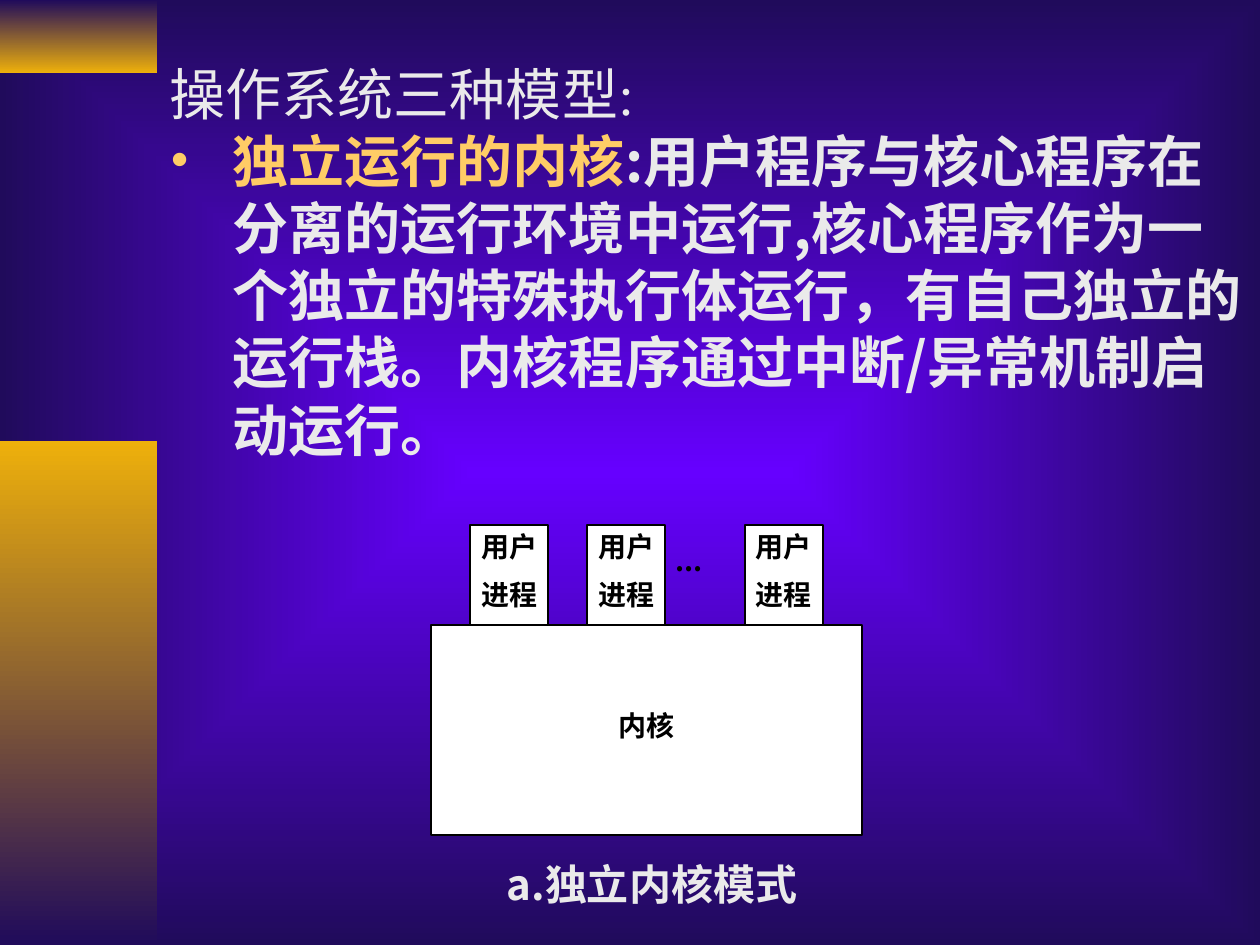
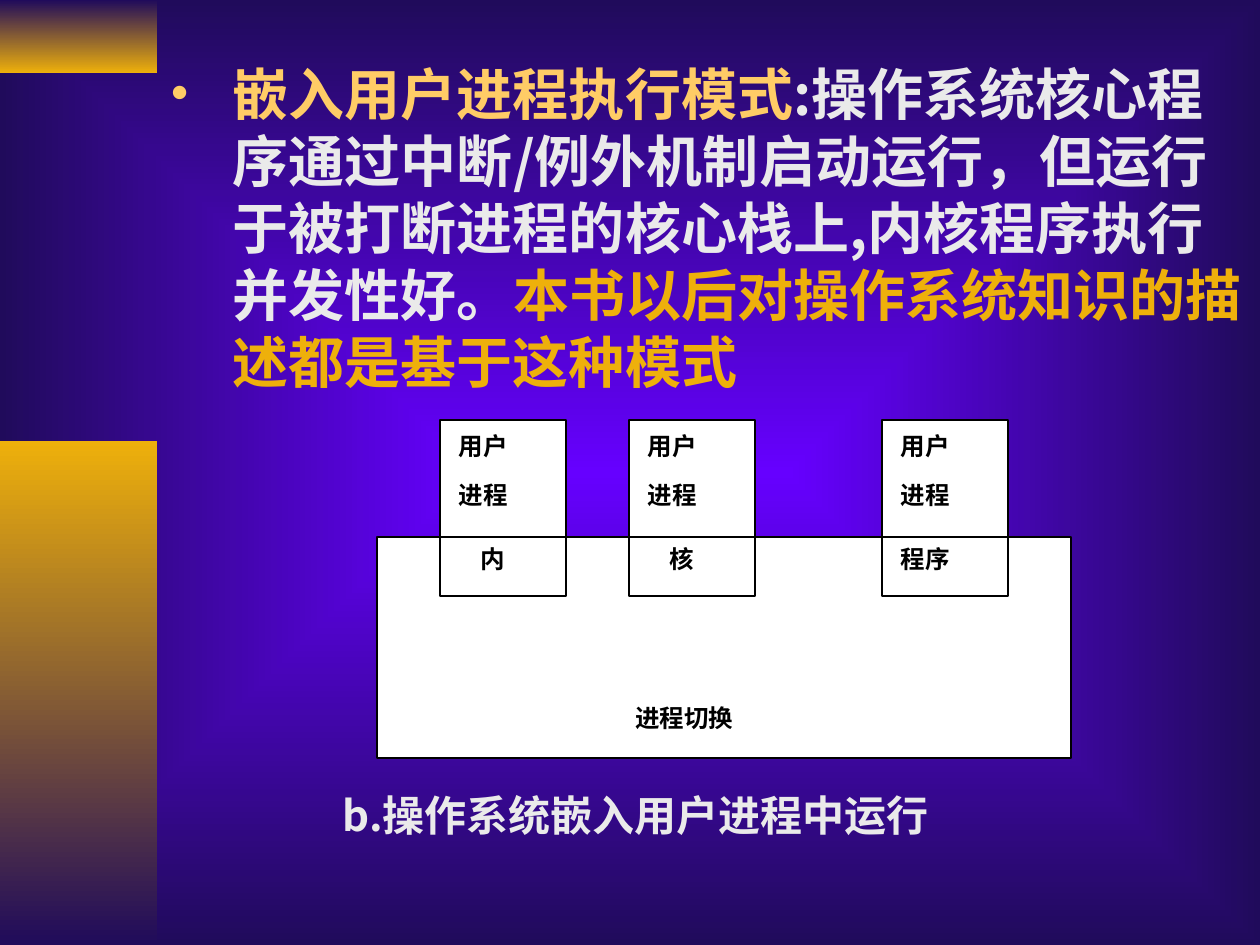
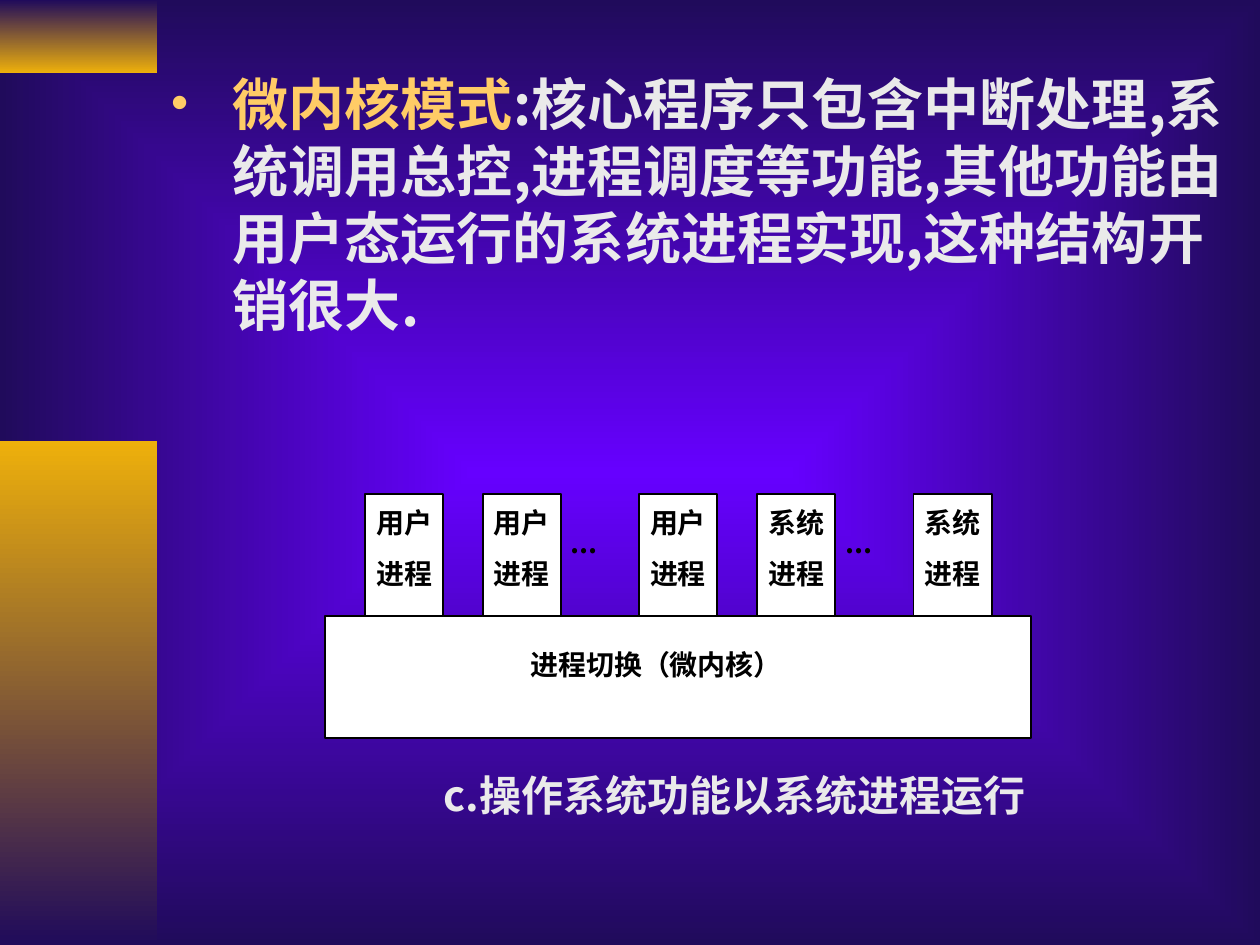
from lxml import etree
from pptx import Presentation
from pptx.dml.color import RGBColor
from pptx.enum.shapes import MSO_SHAPE
from pptx.enum.text import MSO_AUTO_SIZE
from pptx.oxml.ns import qn
from pptx.util import Inches, Pt

NAVY = RGBColor(0x20, 0x0B, 0x5B)
VIOLET = RGBColor(0x66, 0x00, 0xFF)
GOLD = RGBColor(0xEE, 0xB0, 0x0B)
AMBER = RGBColor(0xFF, 0xCC, 0x66)
PALE = RGBColor(0xEA, 0xEA, 0xEA)
WHITE = RGBColor(0xFF, 0xFF, 0xFF)
BLACK = RGBColor(0x00, 0x00, 0x00)

SANS = "Noto Sans CJK SC"
SERIF = "Times New Roman"
BODY_SIZE, CAPTION_SIZE = 32, 24
BODY_LEFT, BODY_WIDTH = 1.25, 8.75
ELLIPSIS_WIDTH = 0.4
LABEL_SLACK = 0.02

# Side bands: top, height, upper colour, lower colour
BANDS = [(0, 0.58, NAVY, GOLD), (3.5, 4, GOLD, NAVY)]
BAND_WIDTH = 1.25

# kernel: left, top, width, height
# words: each process's left edge and first word; the second word is 进程
# inset: offset of the first word inside its box; step: distance to the second
# caption: text, left, top, width
SLIDES = [
    {
        "body": (0.42, 3.3),
        "heading": "操作系统三种模型:",
        "point": [
            ("独立运行的内核", AMBER),
            (":用户程序与核心程序在分离的运行环境中运行,核心程序作为一个独立的特殊执行体运行，"
             "有自己独立的运行栈。内核程序通过中断/异常机制启动运行。", PALE),
        ],
        "size": 16,
        "kernel": (3.42, 4.96, 3.42, 1.67),
        "kernel_label": ("内核", 4.91, 5.62),
        "process_top": 4.17, "process_width": 0.62,
        "words": [(3.73, "用户"), (4.66, "用户"), (5.91, "用户")],
        "inset": (0.09, 0.03), "step": 0.38,
        "ellipses": [(5.36, 4.31)],
        "caption": ("a.独立内核模式", 4.02, 6.81, 2.41),
    },
    {
        "body": (0.42, 2.77),
        "point": [
            ("嵌入用户进程执行模式", AMBER),
            (":操作系统核心程序通过中断/例外机制启动运行，但运行于被打断进程的核心栈上,"
             "内核程序执行并发性好。", PALE),
            ("本书以后对操作系统知识的描述都是基于这种模式", GOLD),
        ],
        "size": 14,
        "kernel": (2.99, 4.26, 5.51, 1.76),
        "kernel_label": ("进程切换", 5.04, 5.58),
        "process_top": 3.33, "process_width": 1,
        "words": [(3.49, "用户"), (4.99, "用户"), (7, "用户")],
        "inset": (0.15, 0.09), "step": 0.39,
        "embedded": [("内", 0.32), ("核", 0.32), ("程序", 0.15)],
        "caption": ("b.操作系统嵌入用户进程中运行", 2.72, 6.27, 4.84),
    },
    {
        "body": (0.5, 2.24),
        "point": [
            ("微内核模式", AMBER),
            (":核心程序只包含中断处理,系统调用总控,进程调度等功能,"
             "其他功能由用户态运行的系统进程实现,这种结构开销很大.", PALE),
        ],
        "size": 16,
        "kernel": (2.58, 4.89, 5.6, 0.97),
        "kernel_label": ("进程切换（微内核）", 4.21, 5.14),
        "process_top": 3.92, "process_width": 0.62,
        "words": [(2.9, "用户"), (3.83, "用户"), (5.07, "用户"),
                  (6.01, "系统"), (7.25, "系统")],
        "inset": (0.09, 0.09), "step": 0.41,
        "ellipses": [(4.53, 4.17), (6.71, 4.17)],
        "caption": ("c.操作系统功能以系统进程运行", 3.52, 6.11, 4.75),
    },
]
EMBEDDED_HEIGHT, EMBEDDED_INSET = 0.47, 0.06


def set_gradient(fill, first, last):
    fill.gradient()
    for stop, color in zip(fill.gradient_stops, (first, last)):
        stop.color.rgb = color


def add_rectangle(page, left, top, width, height):
    box = page.shapes.add_shape(MSO_SHAPE.RECTANGLE, Inches(left), Inches(top),
                                Inches(width), Inches(height))
    box.shadow.inherit = False
    return box


def decorate_master(deck, page):
    """Give the master its background and move the side bands onto it."""
    master = deck.slide_master
    set_gradient(master.background.fill, VIOLET, NAVY)
    gradient = master.element.find(".//" + qn("p:bg")).find(".//" + qn("a:gradFill"))
    gradient.remove(gradient.find(qn("a:lin")))
    route = etree.SubElement(gradient, qn("a:path"), {"path": "rect"})
    etree.SubElement(route, qn("a:fillToRect"),
                     {side: "50000" for side in "ltrb"})
    for position, (top, height, upper, lower) in enumerate(BANDS, start=2):
        band = add_rectangle(page, 0, top, BAND_WIDTH, height)
        set_gradient(band.fill, upper, lower)
        band.fill.gradient_angle = 270
        band.line.fill.background()
        master.shapes.element.insert(position, band.element)


def add_span(para, text, size, color, bold=True, latin=SANS):
    span = para.add_run()
    span.text = text
    span.font.size = Pt(size)
    span.font.bold = bold
    span.font.color.rgb = color
    span.font.name = latin
    etree.SubElement(span._r.get_or_add_rPr(), qn("a:ea"), {"typeface": SANS})


def hang_indent(para, bullet):
    properties = para._p.get_or_add_pPr()
    properties.set("marL", str(Inches(0.5)))
    properties.set("indent", str(-Inches(0.5)))
    if bullet:
        color = etree.SubElement(properties, qn("a:buClr"))
        etree.SubElement(color, qn("a:srgbClr"), {"val": str(AMBER)})
        etree.SubElement(properties, qn("a:buFont"), {"typeface": SERIF})
        etree.SubElement(properties, qn("a:buChar"), {"char": "•"})
    else:
        etree.SubElement(properties, qn("a:buNone"))


def add_body(page, content):
    top, height = content["body"]
    box = page.shapes.add_textbox(Inches(BODY_LEFT), Inches(top),
                                  Inches(BODY_WIDTH), Inches(height))
    frame = box.text_frame
    frame.word_wrap = True
    para = frame.paragraphs[0]
    if "heading" in content:
        hang_indent(para, bullet=False)
        add_span(para, content["heading"], BODY_SIZE, PALE, bold=False, latin=SERIF)
        para = frame.add_paragraph()
    hang_indent(para, bullet=True)
    for text, color in content["point"]:
        add_span(para, text, BODY_SIZE, color)


def add_label(page, text, left, top, size, color=BLACK, width=None):
    """Add a one-line label, by default just wider than one em per character."""
    width = width or len(text) * size / 72 + LABEL_SLACK
    box = page.shapes.add_textbox(Inches(left), Inches(top),
                                  Inches(width), Pt(size * 1.2))
    frame = box.text_frame
    frame.margin_left = frame.margin_right = 0
    frame.margin_top = frame.margin_bottom = 0
    frame.word_wrap = False
    frame.auto_size = MSO_AUTO_SIZE.SHAPE_TO_FIT_TEXT
    add_span(frame.paragraphs[0], text, size, color)


def add_block(page, left, top, width, height):
    block = add_rectangle(page, left, top, width, height)
    block.fill.solid()
    block.fill.fore_color.rgb = WHITE
    block.line.color.rgb = BLACK
    block.line.width = Pt(1.13)


def add_diagram(page, content):
    size = content["size"]
    kernel_top = content["kernel"][1]
    top, width = content["process_top"], content["process_width"]
    inset_x, inset_y = content["inset"]

    add_block(page, *content["kernel"])
    add_label(page, *content["kernel_label"], size)
    for left, owner in content["words"]:
        add_block(page, left, top, width, kernel_top - top)
        for row, word in enumerate((owner, "进程")):
            add_label(page, word, left + inset_x,
                      top + inset_y + row * content["step"], size)
    for (left, _), (word, offset) in zip(content["words"], content.get("embedded", [])):
        add_block(page, left, kernel_top, width, EMBEDDED_HEIGHT)
        add_label(page, word, left + offset, kernel_top + EMBEDDED_INSET, size)
    for left, dots_top in content.get("ellipses", []):
        add_label(page, "...", left, dots_top, size, width=ELLIPSIS_WIDTH)

    text, left, caption_top, caption_width = content["caption"]
    add_label(page, text, left, caption_top, CAPTION_SIZE, PALE, caption_width)


def main():
    deck = Presentation()
    deck.slide_width, deck.slide_height = Inches(10), Inches(7.5)
    blank = deck.slide_layouts[6]
    pages = [deck.slides.add_slide(blank) for _ in SLIDES]
    decorate_master(deck, pages[0])
    for page, content in zip(pages, SLIDES):
        add_body(page, content)
        add_diagram(page, content)
    deck.save("out.pptx")


if __name__ == "__main__":
    main()
